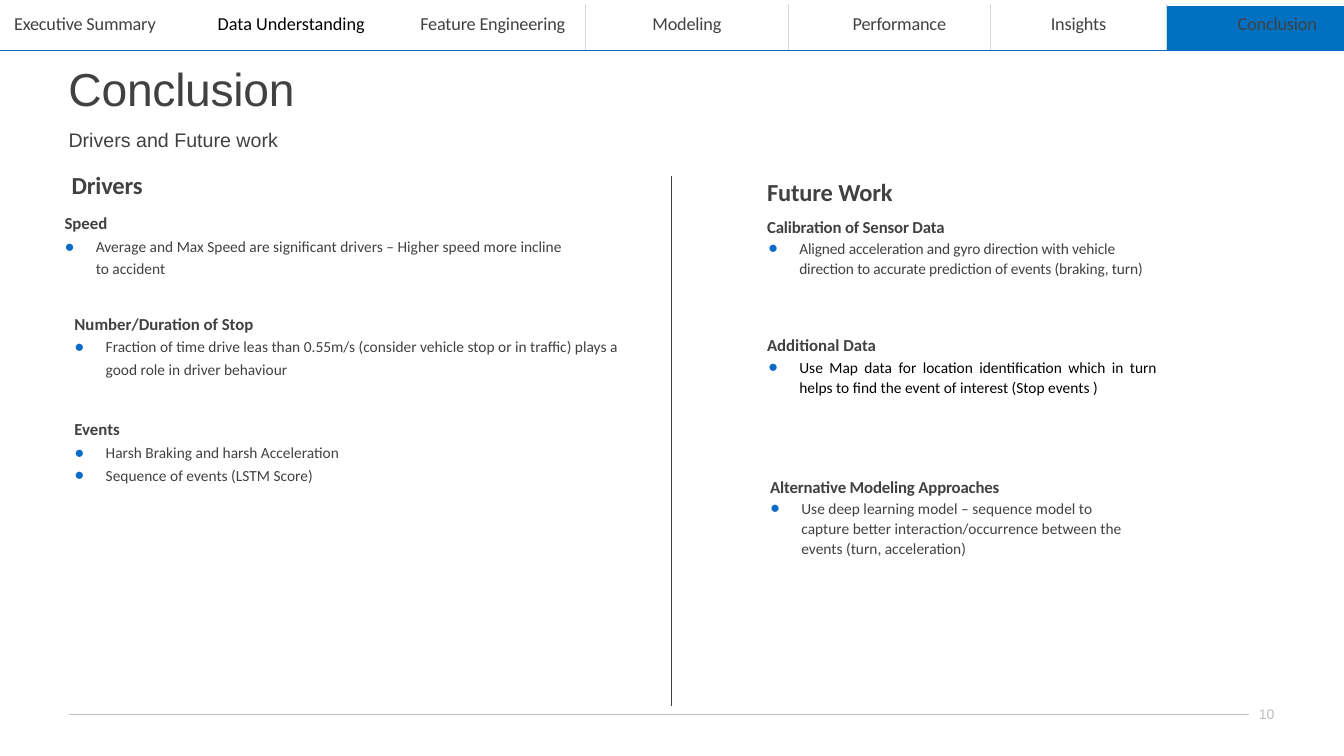
from dataclasses import dataclass
from typing import Any

from lxml.etree import SubElement
from pptx import Presentation
from pptx.dml.color import RGBColor
from pptx.enum.shapes import MSO_CONNECTOR
from pptx.enum.text import MSO_AUTO_SIZE as AutoSize, PP_ALIGN as Align
from pptx.oxml.ns import qn
from pptx.util import Inches, Pt

INK = RGBColor(0x41, 0x40, 0x42)
BLACK = RGBColor(0, 0, 0)
WHITE = RGBColor(0xFF, 0xFF, 0xFF)
ACCENT = RGBColor(0x09, 0x6A, 0xC8)
ACTIVE = RGBColor(0x00, 0x70, 0xC0)
MUTED = RGBColor(0xBE, 0xBE, 0xBE)
RULE = RGBColor(0xD1, 0xDA, 0xDB)

COLUMNS, ROWS = 133.33, 75  # square grid cells, a tenth of an inch each
HANG = 3.1


def cells(count: float) -> int:
    """Turn a number of grid cells into a length."""
    return Inches(count / 10)


@dataclass(frozen=True)
class Para:
    """One paragraph; indents are in grid cells, spacing in points."""
    text: str
    size: float
    before: float = 1
    left: float = 0.1
    bold: bool = False
    face: str = "Calibri"
    color: RGBColor = INK
    tracking: float = 0
    lines: float = 1
    bullet: bool = False
    align: Align = Align.LEFT


@dataclass(frozen=True)
class TextBlock:
    """A text box: left, top, width and height on the grid, and its insets."""
    at: tuple[float, float, float, float]
    paras: list[Para]
    inset_x: float = 0
    inset_top: float = 0.1
    inset_bottom: float = 0


@dataclass(frozen=True)
class Line:
    """A straight rule between two grid points."""
    start: tuple[float, float]
    end: tuple[float, float]
    color: RGBColor
    weight: float = 0.48


@dataclass(frozen=True)
class Tab:
    """One section of the navigation bar; no indent means centred."""
    label: str
    width: float
    indent: float | None = None
    color: RGBColor = INK
    fill: RGBColor | None = WHITE
    sides: str = "LR"


def topic(text: str, before: float = 1, left: float = 0.1, tracking: float = 0) -> Para:
    """Bold line above a group of points."""
    return Para(text, 12, before, left, bold=True, tracking=tracking)


def driver_point(text: str) -> Para:
    """Bulleted line of the left half."""
    return Para(text, 11, 0.2, 3.5, lines=1.2, bullet=True)


def future_point(text: str, before: float = 0.2, left: float = 3.3, **extra: Any) -> Para:
    """Bulleted line of the right half."""
    return Para(text, 11, before, left, lines=1.1, bullet=True, **extra)


def drivers_group(top: float, title: str, *points: str) -> TextBlock:
    """One of the lower groups of the left half."""
    paras = [topic(title, 9.5, 0.4), *map(driver_point, points)]
    return TextBlock((6, top, 58.2, 7.3), paras, 1, 0.5, 0.5)


TABS = [
    Tab("Executive Summary", 17.9, 1.4, sides=""),
    Tab("Data Understanding", 20.1, 3.7, BLACK, sides=""),
    Tab("Feature Engineering", 20.1, 3.7, sides="R"),
    Tab("Modeling", 20.1),
    Tab("Performance", 20.1, 6.4, fill=None),
    Tab("Insights", 17.4),
    Tab("Conclusion", 17.7, 7.1, fill=ACTIVE, sides="L"),
]
LINES = [
    Line((6.8, 70.9), (123.9, 70.9), MUTED),
    Line((66.6, 17.5), (66.6, 70), INK),
    Line((0, 5), (COLUMNS, 5), ACCENT, 0.5),
]
BLOCKS = [
    TextBlock((6.7, 5.9, 22.7, 5.8),
              [Para("Conclusion", 33, face="Arial", tracking=-0.2)]),
    TextBlock((6.7, 12.6, 43.1, 2.5),
              [Para("Drivers and Future work", 14, 1.1, face="Arial")]),
    TextBlock((76, 16, 38.7, 13.5), [
        Para("Future Work", 17.5, 11.3, bold=True, tracking=-0.1),
        topic("Calibration of Sensor Data", 7, tracking=-0.1),
        future_point("Aligned acceleration and gyro direction with vehicle direction "
                     "to accurate prediction of events (braking, turn)", tracking=-0.1),
    ], inset_top=1.6),
    TextBlock((76, 33.1, 38.8, 6.3), [
        topic("Additional Data"),
        future_point("Use Map data for location identification which in turn helps to "
                     "find the event of interest (Stop events )", 0.9,
                     color=BLACK, align=Align.JUSTIFY),
    ]),
    TextBlock((76, 47.2, 36.5, 8.2), [
        topic("Alternative Modeling Approaches", left=0.4, tracking=-0.1),
        future_point("Use deep learning model – sequence model to capture better "
                     "interaction/occurrence between the events (turn, acceleration)",
                     0.1, 3.5),
    ]),
    TextBlock((6, 16.8, 49.8, 10.8), [
        Para("Drivers", 17.5, left=1.1, bold=True, tracking=-0.1),
        topic("Speed", 9.5, 0.4),
        driver_point("Average and Max Speed are significant drivers – Higher speed "
                     "more incline to accident"),
    ]),
    drivers_group(30.6, "Number/Duration of Stop",
                  "Fraction of time drive leas than 0.55m/s (consider vehicle stop or in "
                  "traffic) plays a good role in driver behaviour"),
    drivers_group(41.1, "Events", "Harsh Braking and harsh Acceleration",
                  "Sequence of events (LSTM Score)"),
    TextBlock((124.6, 70, 2.1, 1.8),
              [Para("10", 10, 0, 0.3, face="Arial", color=MUTED, tracking=-0.1)],
              inset_top=0),
]


def assign(target: Any, values: dict[str, Any]) -> None:
    """Set every attribute named in values."""
    for name, value in values.items():
        setattr(target, name, value)


def write(para: Any, spec: Para) -> None:
    """Fill a paragraph with its text, format and bullet."""
    assign(para, {"alignment": spec.align, "space_before": Pt(spec.before),
                  "line_spacing": spec.lines})
    span = para.add_run()
    span.text = spec.text
    assign(span.font, {"name": spec.face, "size": Pt(spec.size), "bold": spec.bold})
    span.font.color.rgb = spec.color
    span._r.get_or_add_rPr().set("spc", str(round(spec.tracking * 100)))
    props = para._p.get_or_add_pPr()
    props.set("marL", str(cells(spec.left)))
    props.set("indent", str(-cells(HANG) if spec.bullet else 0))
    if spec.bullet:
        tint = SubElement(props, qn("a:buClr"))
        SubElement(tint, qn("a:srgbClr"), val=str(ACCENT))
        SubElement(props, qn("a:buSzPct"), val="132000")
        SubElement(props, qn("a:buFont"), typeface="Calibri")
        SubElement(props, qn("a:buChar"), char="•")


def draw_block(page: Any, block: TextBlock) -> None:
    """Add a text box with its paragraphs."""
    frame = page.shapes.add_textbox(*map(cells, block.at)).text_frame
    side = cells(block.inset_x)
    assign(frame, {"word_wrap": True, "auto_size": AutoSize.SHAPE_TO_FIT_TEXT,
                   "margin_left": side, "margin_right": side,
                   "margin_top": cells(block.inset_top),
                   "margin_bottom": cells(block.inset_bottom)})
    for index, spec in enumerate(block.paras):
        write(frame.add_paragraph() if index else frame.paragraphs[0], spec)


def draw_line(page: Any, line: Line) -> None:
    """Add a rule without a shadow."""
    rule = page.shapes.add_connector(MSO_CONNECTOR.STRAIGHT,
                                     *map(cells, line.start + line.end))
    rule.line.color.rgb = line.color
    rule.line.width = Pt(line.weight)
    SubElement(rule._element.spPr, qn("a:effectLst"))


def draw_tabs(page: Any, tabs: list[Tab]) -> None:
    """Add the navigation bar as a one-row table."""
    width = sum(tab.width for tab in tabs)
    table = page.shapes.add_table(1, len(tabs), *map(cells, (0, 0.5, width, 4.5))).table
    assign(table, {"first_row": False, "horz_banding": False})
    for column, cell, tab in zip(table.columns, table.rows[0].cells, tabs):
        column.width = cells(tab.width)
        assign(cell, {"margin_left": 0, "margin_right": 0, "margin_bottom": 0,
                      "margin_top": cells(0.8)})
        align = Align.CENTER if tab.indent is None else Align.LEFT
        write(cell.text_frame.paragraphs[0],
              Para(tab.label, 13, 5.9, tab.indent or 0, color=tab.color,
                   tracking=0 if tab.color == BLACK else -0.1, align=align))
        props = cell._tc.get_or_add_tcPr()
        for side in tab.sides:
            edge = SubElement(props, qn(f"a:ln{side}"), w=str(Pt(0.5)))
            paint = SubElement(edge, qn("a:solidFill"))
            SubElement(paint, qn("a:srgbClr"), val=str(RULE))
        if tab.fill is None:
            cell.fill.background()
        else:
            cell.fill.solid()
            cell.fill.fore_color.rgb = tab.fill


deck = Presentation()
assign(deck, {"slide_width": cells(COLUMNS), "slide_height": cells(ROWS)})
slide = deck.slides.add_slide(deck.slide_layouts[6])
draw_tabs(slide, TABS)
for rule_line in LINES:
    draw_line(slide, rule_line)
for text_block in BLOCKS:
    draw_block(slide, text_block)
deck.save("out.pptx")
